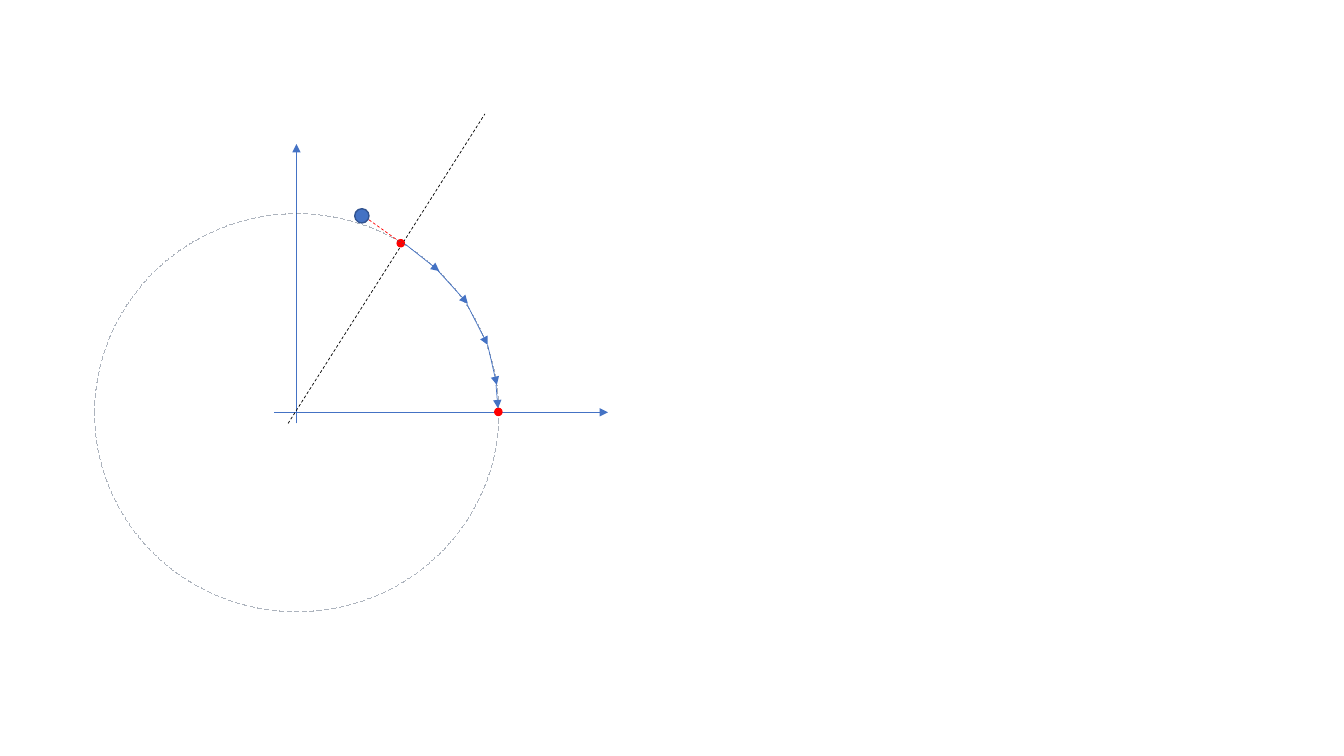
from dataclasses import dataclass
from typing import Optional

from lxml import etree
from pptx import Presentation
from pptx import util as u
from pptx.dml.color import RGBColor
from pptx.enum import dml, shapes
from pptx.oxml import ns

BLUE = RGBColor(0x44, 0x72, 0xC4)
DARK_BLUE = RGBColor(0x32, 0x54, 0x91)
RED = RGBColor(0xFF, 0x00, 0x00)
BLACK = RGBColor(0x00, 0x00, 0x00)
SLATE = RGBColor(0x44, 0x54, 0x6A)


@dataclass(frozen=True)
class Segment:
    x1: float
    y1: float
    x2: float
    y2: float
    color: RGBColor = BLUE
    arrow: bool = True


@dataclass(frozen=True)
class Ellipse:
    cx: float
    cy: float
    width: float
    height: float
    line: RGBColor
    fill: Optional[RGBColor] = None


Y_AXIS = Segment(7.47, 10.67, 7.47, 3.63)
X_AXIS = Segment(6.91, 10.39, 15.32, 10.39)
RAY = Segment(7.26, 10.67, 12.22, 2.87, BLACK, arrow=False)
PROJECTION = Segment(9.3, 5.54, 10.11, 6.12, RED, arrow=False)
ORBIT = Ellipse(7.48, 10.4, 10.19, 10.03, SLATE)
BODY = Ellipse(9.12, 5.44, 0.36, 0.36, DARK_BLUE, BLUE)
START = Ellipse(10.1, 6.13, 0.18, 0.18, RED, RED)
END = Ellipse(12.56, 10.38, 0.18, 0.18, RED, RED)
ARC_STEPS = [
    Segment(10.21, 6.15, 11.07, 6.83),
    Segment(11.0, 6.78, 11.79, 7.65),
    Segment(11.76, 7.65, 12.29, 8.69),
    Segment(12.29, 8.69, 12.52, 9.7),
    Segment(12.5, 9.7, 12.55, 10.29),
]


def draw_segment(slide, seg: Segment) -> None:
    c = slide.shapes.add_connector(
        shapes.MSO_CONNECTOR.STRAIGHT,
        u.Cm(seg.x1), u.Cm(seg.y1), u.Cm(seg.x2), u.Cm(seg.y2),
    )
    c.line.color.rgb = seg.color
    c.line.width = u.Pt(0.5)
    if seg.arrow:
        etree.SubElement(c.line._get_or_add_ln(), ns.qn("a:tailEnd"), type="triangle")
    else:
        c.line.dash_style = dml.MSO_LINE.DASH
    etree.SubElement(c._element.spPr, ns.qn("a:effectLst"))


def draw_ellipse(slide, e: Ellipse) -> None:
    sp = slide.shapes.add_shape(
        shapes.MSO_SHAPE.OVAL,
        u.Cm(e.cx - e.width / 2), u.Cm(e.cy - e.height / 2),
        u.Cm(e.width), u.Cm(e.height),
    )
    sp.shadow.inherit = False
    sp.line.color.rgb = e.line
    if e.fill is not None:
        sp.fill.solid()
        sp.fill.fore_color.rgb = e.fill
        sp.line.width = u.Pt(1)
    else:
        sp.fill.background()
        sp.line.width = u.Pt(0)
        sp.line.dash_style = dml.MSO_LINE.DASH
        ln = sp.line._get_or_add_ln()
        ln.set("w", "0")
        color = ln.find(".//" + ns.qn("a:srgbClr"))
        etree.SubElement(color, ns.qn("a:alpha"), val="43000")


def main() -> None:
    prs = Presentation()
    prs.slide_width, prs.slide_height = u.Cm(33.87), u.Cm(19.05)
    s = prs.slides.add_slide(prs.slide_layouts[6])
    for item in [Y_AXIS, X_AXIS, BODY, RAY, PROJECTION, START, ORBIT, END, *ARC_STEPS]:
        if isinstance(item, Segment):
            draw_segment(s, item)
        else:
            draw_ellipse(s, item)
    prs.save("out.pptx")


if __name__ == "__main__":
    main()
